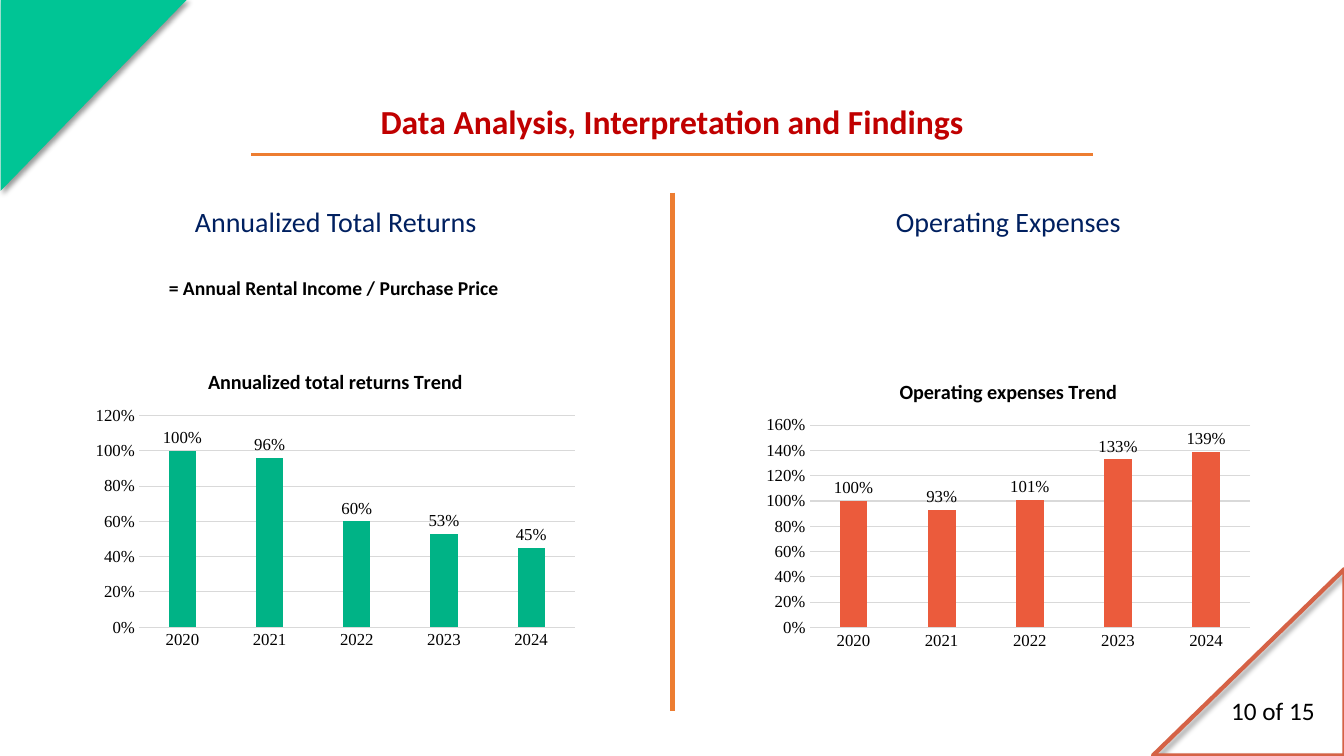
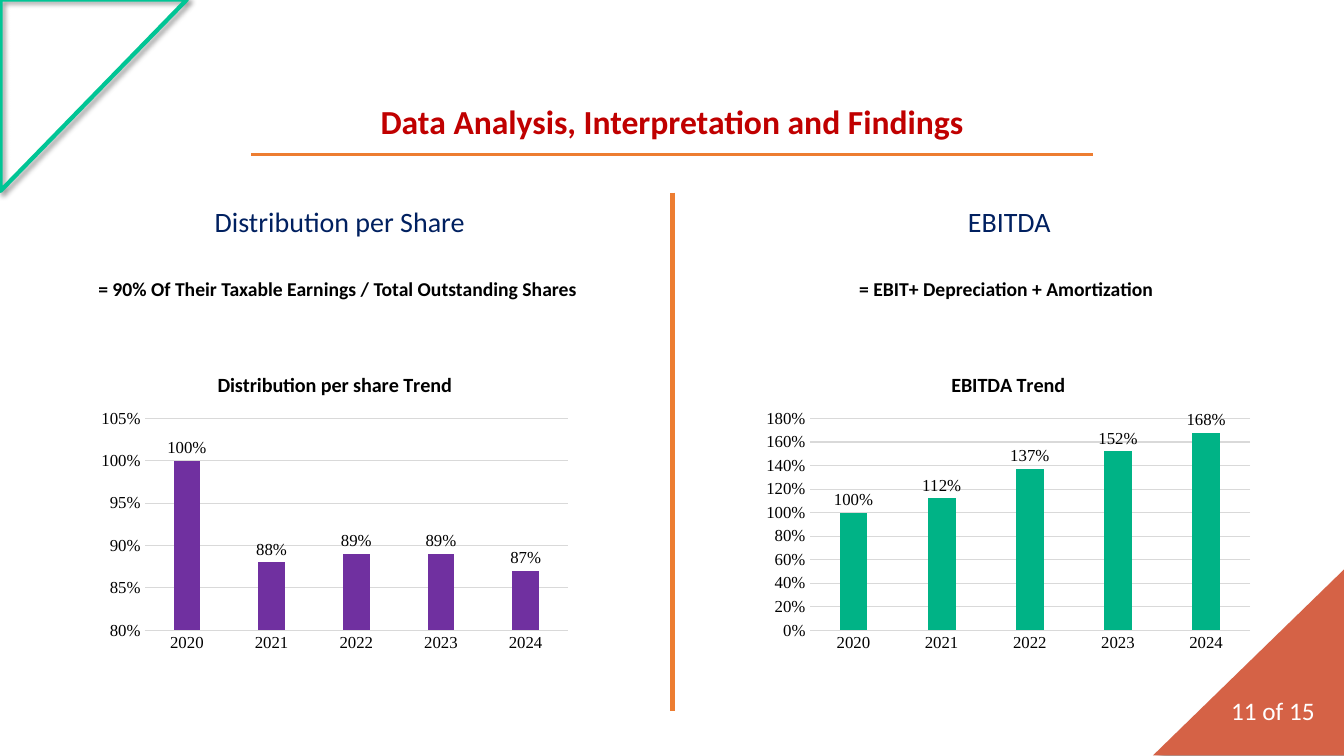
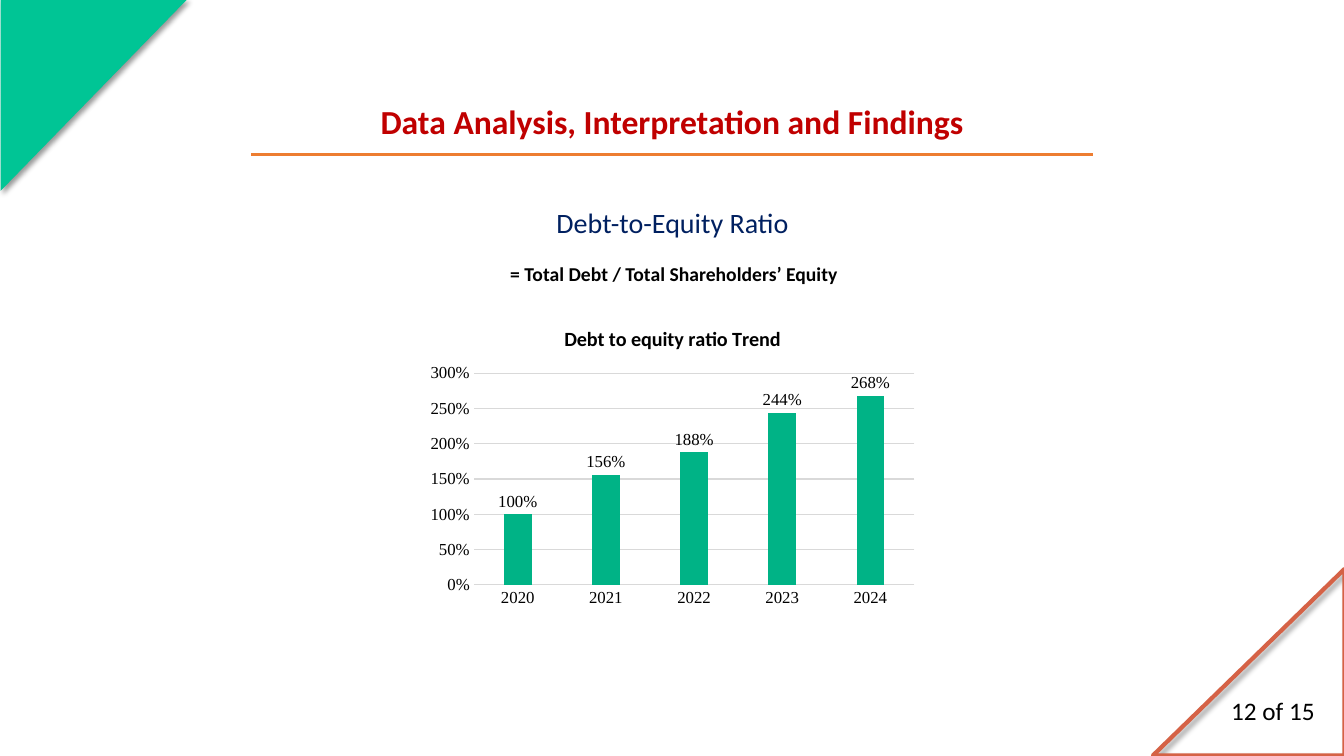
from lxml import etree
from pptx import Presentation
from pptx.chart.data import CategoryChartData
from pptx.dml.color import RGBColor
from pptx.enum.chart import XL_CHART_TYPE as ChartType
from pptx.enum.chart import XL_LABEL_POSITION as LabelPosition
from pptx.enum.chart import XL_TICK_MARK as TickMark
from pptx.enum.shapes import MSO_CONNECTOR as Connector
from pptx.enum.shapes import MSO_SHAPE as Preset
from pptx.enum.text import MSO_ANCHOR as Anchor
from pptx.enum.text import PP_ALIGN as Align
from pptx.oxml import parse_xml
from pptx.oxml.ns import nsdecls, qn
from pptx.util import Emu, Pt

EMU_PER_PX = 9144  # 100 px to the inch
TITLE_ONLY = 5
TITLE = "Data Analysis, Interpretation and Findings"
PAGE_COUNT = 15
YEARS = ["2020", "2021", "2022", "2023", "2024"]
TEXT_FONT = "Calibri"
CHART_FONT = "Times New Roman"
COLORS = {
    "title": "C00000",
    "heading": "002060",
    "rule": "ED7D31",
    "grid": "D9D9D9",
    "top_corner": "00C595",
    "bottom_corner": "D56246",
    "green": "00B386",
    "orange": "EB5B3C",
    "purple": "7030A0",
    "black": "000000",
    "white": "FFFFFF",
}
SHADOW = f"""<a:effectLst {nsdecls("a")}>
  <a:outerShdw blurRad="50800" dist="38100" dir="2700000" algn="tl" rotWithShape="0">
    <a:srgbClr val="000000"><a:alpha val="40000"/></a:srgbClr>
  </a:outerShdw>
</a:effectLst>"""


def px(*lengths):
    return [Emu(length * EMU_PER_PX) for length in lengths]


def rgb(name):
    return RGBColor.from_string(COLORS[name])


def style_font(font, size, color="black", bold=False, name=TEXT_FONT):
    font.name, font.size, font.bold = name, Pt(size), bold
    font.color.rgb = rgb(color)


def write_centered(shape, text, size, color, bold):
    frame = shape.text_frame
    frame.word_wrap = True
    frame.text = text
    paragraph = frame.paragraphs[0]
    paragraph.alignment = Align.CENTER
    style_font(paragraph.font, size, color, bold)


def add_text(slide, box, text, size, color="black", bold=False):
    write_centered(slide.shapes.add_textbox(*px(*box)), text, size, color, bold)


def add_heading(slide, box, text):
    add_text(slide, box, text, 20, "heading")


def add_formula(slide, box, text):
    add_text(slide, box, text, 14, bold=True)


def add_rule(slide, start, end, width):
    rule = slide.shapes.add_connector(Connector.STRAIGHT, *px(*start, *end))
    rule.line.color.rgb = rgb("rule")
    rule.line.width = Pt(width)
    etree.SubElement(rule._element.spPr, qn("a:effectLst"))


def add_divider(slide):
    add_rule(slide, (667, 191), (667, 705), 3)


def add_corner(slide, box, rotation, color, filled):
    """Add a shadowed corner triangle, either solid or outlined."""
    corner = slide.shapes.add_shape(Preset.RIGHT_TRIANGLE, *px(*box))
    corner.rotation = rotation
    if filled:
        corner.fill.solid()
        corner.fill.fore_color.rgb = rgb(color)
        corner.line.fill.background()
    else:
        corner.fill.background()
        corner.line.color.rgb = rgb(color)
        corner.line.width = Pt(3)
    corner._element.spPr.append(parse_xml(SHADOW))


def add_trend_chart(slide, box, title, percents, color, scale):
    """Add a column chart; scale is the lowest, highest and step percent."""
    data = CategoryChartData(number_format="0%")
    data.categories = YEARS
    data.add_series(title, [percent / 100 for percent in percents])
    chart = slide.shapes.add_chart(
        ChartType.COLUMN_CLUSTERED, *px(*box), data).chart
    style_font(chart.font, 12, name=CHART_FONT)
    chart.has_legend = False

    chart.has_title = True
    chart.chart_title.include_in_layout = False
    run = chart.chart_title.text_frame.paragraphs[0].add_run()
    run.text = title
    style_font(run.font, 14.4, bold=True)

    plot = chart.plots[0]
    plot.gap_width, plot.overlap = 219, -27
    plot.vary_by_categories = False
    fill = plot.series[0].format.fill
    fill.solid()
    fill.fore_color.rgb = rgb(color)
    plot.has_data_labels = True
    labels = plot.data_labels
    labels.show_value = True
    labels.position = LabelPosition.OUTSIDE_END
    style_font(labels.font, 12, name=CHART_FONT)

    years, values = chart.category_axis, chart.value_axis
    for axis in (years, values):
        axis.major_tick_mark = axis.minor_tick_mark = TickMark.NONE
        style_font(axis.tick_labels.font, 12, name=CHART_FONT)
    values.has_major_gridlines = True
    for line in (years.format.line, values.major_gridlines.format.line):
        line.color.rgb = rgb("grid")
        line.width = Pt(0.75)
    values.format.line.fill.background()
    values.tick_labels.number_format = "0%"
    values.tick_labels.number_format_is_linked = False
    values.minimum_scale, values.maximum_scale, values.major_unit = (
        percent / 100 for percent in scale)


def add_base_slide(presentation, page):
    """Add a slide with title, corners and page number; the solid corner alternates."""
    slide = presentation.slides.add_slide(presentation.slide_layouts[TITLE_ONLY])
    title = slide.shapes.title
    title.left, title.top, title.width, title.height = px(77, 95, 1179, 50)
    title.text_frame.vertical_anchor = Anchor.MIDDLE
    write_centered(title, TITLE, 24, "title", True)
    add_rule(slide, (249, 153), (1084, 153), 2.25)

    top_filled = page % 2 == 0
    add_corner(slide, (-2, 2, 190, 185), 90, "top_corner", top_filled)
    add_corner(slide, (1146, 562, 185, 190), 270, "bottom_corner", not top_filled)
    add_text(slide, (1195, 685, 135, 40), f"{page} of {PAGE_COUNT}", 18,
             "black" if top_filled else "white")
    return slide


def add_returns_slide(presentation):
    slide = add_base_slide(presentation, 10)
    add_divider(slide)
    add_heading(slide, (68, 198, 530, 44), "Annualized Total Returns")
    add_formula(slide, (100, 269, 462, 34),
                "= Annual Rental Income / Purchase Price")
    add_trend_chart(slide, (85, 350, 495, 300), "Annualized total returns Trend",
                    [100, 96, 60, 53, 45], "green", (0, 120, 20))
    add_heading(slide, (699, 198, 602, 44), "Operating Expenses")
    add_trend_chart(slide, (750, 360, 500, 290), "Operating expenses Trend",
                    [100, 93, 101, 133, 139], "orange", (0, 160, 20))


def add_distribution_slide(presentation):
    slide = add_base_slide(presentation, 11)
    add_divider(slide)
    add_heading(slide, (72, 198, 530, 44), "Distribution per Share")
    add_formula(slide, (0, 270, 670, 34),
                "= 90% Of Their Taxable Earnings / Total Outstanding Shares")
    add_trend_chart(slide, (91, 353, 482, 300), "Distribution per share Trend",
                    [100, 88, 89, 89, 87], "purple", (80, 105, 5))
    add_heading(slide, (700, 198, 602, 44), "EBITDA")
    add_formula(slide, (661, 270, 674, 34), "= EBIT+ Depreciation + Amortization")
    add_trend_chart(slide, (750, 353, 500, 300), "EBITDA Trend",
                    [100, 112, 137, 152, 168], "green", (0, 180, 20))


def add_debt_slide(presentation):
    slide = add_base_slide(presentation, 12)
    add_heading(slide, (366, 199, 602, 44), "Debt-to-Equity Ratio")
    add_formula(slide, (331, 255, 675, 34),
                "= Total Debt / Total Shareholders’ Equity")
    add_trend_chart(slide, (417, 308, 500, 300), "Debt to equity ratio Trend",
                    [100, 156, 188, 244, 268], "green", (0, 300, 50))


def main():
    presentation = Presentation()
    presentation.slide_width, presentation.slide_height = px(1333, 750)
    add_returns_slide(presentation)
    add_distribution_slide(presentation)
    add_debt_slide(presentation)
    presentation.save("out.pptx")


if __name__ == "__main__":
    main()
